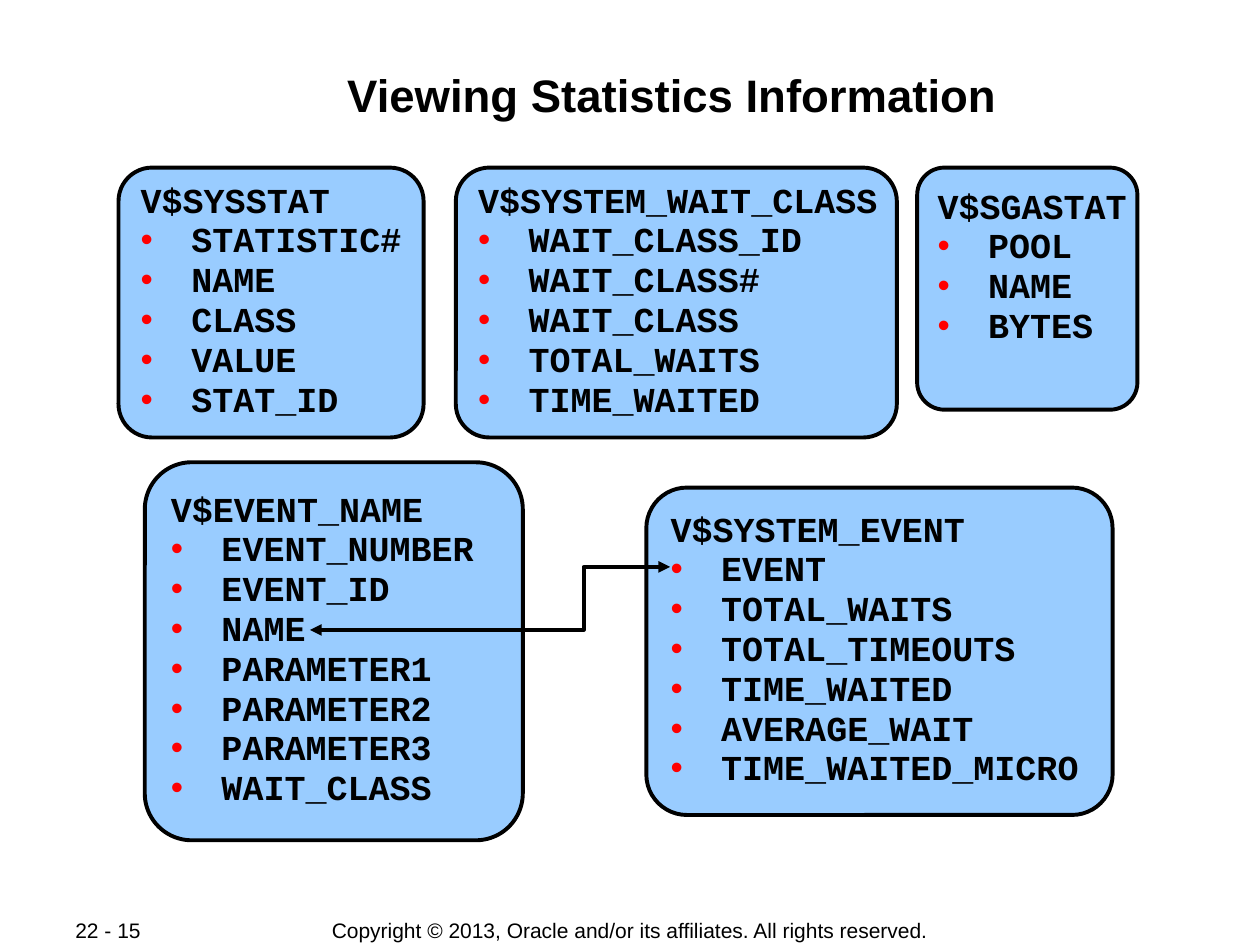
from lxml import etree
from pptx import Presentation
from pptx.dml.color import RGBColor
from pptx.enum.shapes import MSO_CONNECTOR, MSO_SHAPE
from pptx.enum.text import MSO_ANCHOR, MSO_AUTO_SIZE, PP_ALIGN
from pptx.oxml.ns import qn
from pptx.util import Cm, Pt

ROUNDED = MSO_SHAPE.ROUNDED_RECTANGLE
ELBOW = MSO_CONNECTOR.ELBOW
LEFT, CENTER = PP_ALIGN.LEFT, PP_ALIGN.CENTER
TOP, MIDDLE = MSO_ANCHOR.TOP, MSO_ANCHOR.MIDDLE

COLORS = {"text": "000000", "line": "000000", "view": "99CCFF", "bullet": "FF0000"}
TITLE_ONLY = 5
LINE_WIDTH = Pt(2.25)
BULLET_INDENT = Cm(1.02)
TEXT_LINE = 0.8  # height of one column name, in cm

# View name: (left, top, width, height) in cm, columns, blank lines kept below
VIEWS = {
    "V$SGASTAT": ((18.49, 3.38, 4.44, 4.88), ["POOL", "NAME", "BYTES"], 1),
    "V$SYSSTAT": (
        (2.39, 3.38, 6.15, 5.44),
        ["STATISTIC#", "NAME", "CLASS", "VALUE", "STAT_ID"], 0),
    "V$SYSTEM_WAIT_CLASS": (
        (9.19, 3.38, 8.89, 5.44),
        ["WAIT_CLASS_ID", "WAIT_CLASS#", "WAIT_CLASS", "TOTAL_WAITS",
         "TIME_WAITED"], 0),
    "V$EVENT_NAME": (
        (2.92, 9.32, 7.62, 7.62),
        ["EVENT_NUMBER", "EVENT_ID", "NAME", "PARAMETER1", "PARAMETER2",
         "PARAMETER3", "WAIT_CLASS"], 0),
    "V$SYSTEM_EVENT": (
        (13.03, 9.83, 9.4, 6.6),
        ["EVENT", "TOTAL_WAITS", "TOTAL_TIMEOUTS", "TIME_WAITED",
         "AVERAGE_WAIT", "TIME_WAITED_MICRO"], 0),
}


def color(name):
    return RGBColor.from_string(COLORS[name])


def style(paragraph, font_name, size, bold=False, align=LEFT):
    paragraph.alignment = align
    font = paragraph.font
    font.name, font.size, font.bold = font_name, Pt(size), bold
    font.color.rgb = color("text")


def set_insets(frame, left, top, right, bottom):
    frame.margin_left, frame.margin_top = Cm(left), Cm(top)
    frame.margin_right, frame.margin_bottom = Cm(right), Cm(bottom)


def add_bullet(paragraph):
    properties = paragraph._p.get_or_add_pPr()
    properties.set("marL", str(BULLET_INDENT))
    properties.set("indent", str(-BULLET_INDENT))
    bullet_color = etree.SubElement(properties, qn("a:buClr"))
    etree.SubElement(bullet_color, qn("a:srgbClr"), val=COLORS["bullet"])
    etree.SubElement(properties, qn("a:buFont"), typeface="Arial")
    etree.SubElement(properties, qn("a:buChar"), char="•")


def place_title(slide, box, text):
    title = slide.shapes.title
    title.left, title.top, title.width, title.height = map(Cm, box)
    frame = title.text_frame
    frame.text = text
    frame.auto_size = MSO_AUTO_SIZE.NONE
    frame.vertical_anchor = TOP
    set_insets(frame, 0.03, 0.13, 0.03, 0.03)
    style(frame.paragraphs[0], "Arial", 26, bold=True, align=CENTER)


def add_footer_text(slide, box, text, align):
    frame = slide.shapes.add_textbox(*map(Cm, box)).text_frame
    frame.text = text
    frame.word_wrap = True
    frame.vertical_anchor = MIDDLE
    style(frame.paragraphs[0], "Arial", 12, align=align)


def add_view(slide, box, name, columns, lines_below):
    """Draw one dynamic view as a rounded box with its bulleted columns."""
    view = slide.shapes.add_shape(ROUNDED, *map(Cm, box))
    view.adjustments[0] = 0.124
    view.shadow.inherit = False
    view.fill.solid()
    view.fill.fore_color.rgb = color("view")
    view.line.color.rgb = color("line")
    view.line.width = LINE_WIDTH

    frame = view.text_frame
    frame.word_wrap = True
    frame.vertical_anchor = MIDDLE
    set_insets(frame, 0.25, 0.13, 0, 0.13 + lines_below * TEXT_LINE)
    frame.text = "\n".join([name, *columns])
    heading, *items = frame.paragraphs
    heading.line_spacing = 0.85
    for item in items:
        item.line_spacing = 0.95
        add_bullet(item)
    for paragraph in frame.paragraphs:
        style(paragraph, "Courier New", 20, bold=True)


def add_join(slide, name_box, event_box):
    """Link the NAME column of one view with the EVENT column of the other."""
    join = slide.shapes.add_connector(
        ELBOW,
        Cm(name_box[0] + 3.33), Cm(name_box[1] + 3.38),
        Cm(event_box[0] + 0.48), Cm(event_box[1] + 1.6))
    join.line.color.rgb = color("line")
    join.line.width = LINE_WIDTH
    properties = join._element.spPr
    bends = properties.find(qn("a:prstGeom")).get_or_add_avLst()
    etree.SubElement(bends, qn("a:gd"), name="adj1", fmla="val 76000")
    line = properties.find(qn("a:ln"))
    for end in ("a:headEnd", "a:tailEnd"):
        etree.SubElement(line, qn(end), type="triangle")
    etree.SubElement(properties, qn("a:effectLst"))


def build_statistics_slide(deck):
    slide = deck.slides.add_slide(deck.slide_layouts[TITLE_ONLY])
    place_title(slide, (1.7, 1.22, 23.7, 2.44), "Viewing Statistics Information")
    for name, (box, columns, lines_below) in VIEWS.items():
        add_view(slide, box, name, columns, lines_below)
    add_join(slide, VIEWS["V$EVENT_NAME"][0], VIEWS["V$SYSTEM_EVENT"][0])
    add_footer_text(slide, (1.27, 18.49, 2.69, 0.52), "22 - 15", LEFT)
    add_footer_text(
        slide, (6.2, 18.49, 13, 0.52),
        "Copyright © 2013, Oracle and/or its affiliates. All rights reserved.",
        CENTER)


def main():
    deck = Presentation()
    deck.slide_width, deck.slide_height = Cm(25.4), Cm(19.05)
    build_statistics_slide(deck)
    deck.save("out.pptx")


if __name__ == "__main__":
    main()
